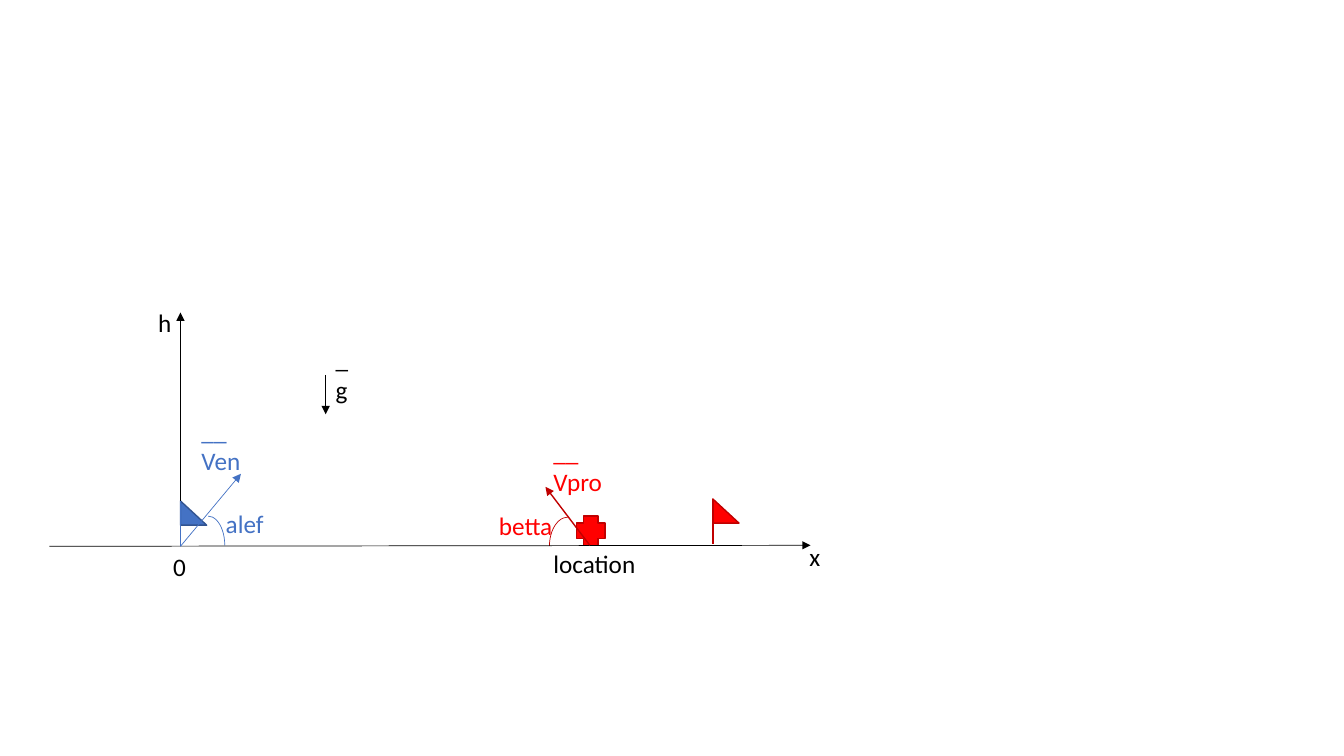
from pptx import Presentation
from pptx.util import Inches, Pt
from pptx.dml.color import RGBColor
from pptx.enum.shapes import MSO_SHAPE as Form, MSO_CONNECTOR as Link
from pptx.enum.text import MSO_AUTO_SIZE as Fit
from pptx.oxml.ns import qn
from lxml.etree import SubElement as add_node

BLACK = RGBColor(0x00, 0x00, 0x00)
BLUE = RGBColor(0x44, 0x72, 0xC4)
NAVY = RGBColor(0x32, 0x54, 0x91)
RED = RGBColor(0xFF, 0x00, 0x00)
DARK = RGBColor(0xC0, 0x00, 0x00)

deck = Presentation()
deck.slide_width, deck.slide_height = Inches(13.33), Inches(7.5)
slide = deck.slides.add_slide(deck.slide_layouts[6])

ground, start, target = 5.42, 1.79, 7.07

solids = [
    (Form.RIGHT_TRIANGLE, start, 4.97, 0.26, 0.24, BLUE, NAVY),
    (Form.CROSS, 5.72, 5.12, 0.28, 0.29, RED, DARK),
    (Form.RIGHT_TRIANGLE, target, 4.95, 0.26, 0.24, RED, DARK),
]
for form, x, y, w, h, fill, edge in solids:
    shape = slide.shapes.add_shape(form, *map(Inches, (x, y, w, h)))
    shape.shadow.inherit = False
    shape.fill.solid()
    shape.fill.fore_color.rgb = fill
    shape.line.color.rgb = edge
    shape.line.width = Pt(1)

angles = [
    (1.9, 5.12, 0.33, 0.58, BLUE, 162, 0),
    (5.45, 5.13, 0.37, 0.57, DARK, 108, 162),
]
for x, y, w, h, color, first, last in angles:
    arc = slide.shapes.add_shape(Form.ARC, *map(Inches, (x, y, w, h)))
    arc.shadow.inherit = False
    arc.adjustments[0] = first
    arc.adjustments[1] = last
    arc.fill.background()
    arc.line.color.rgb = color
    arc.line.width = Pt(0.5)

lines = [
    (0.49, ground, 8.04, 5.41, BLACK, 0.5, True),
    (start, ground, start, 3.1, BLACK, 0.5, True),
    (start, 4.97, start, ground, BLUE, 1, False),
    (start, ground, 2.39, 4.7, BLUE, 0.5, True),
    (5.85, 5.41, 5.41, 4.83, DARK, 1, True),
    (target, 4.95, target, 5.4, DARK, 1, False),
    (3.23, 3.72, 3.23, 4.11, BLACK, 0.5, True),
]
for x1, y1, x2, y2, color, width, arrow in lines:
    line = slide.shapes.add_connector(Link.STRAIGHT, *map(Inches, (x1, y1, x2, y2)))
    line.line.color.rgb = color
    line.line.width = Pt(width)
    if arrow:
        add_node(line.line._get_or_add_ln(), qn("a:tailEnd"), type="triangle")
    add_node(line._element.spPr, qn("a:effectLst"))

labels = [
    ("0", 1.62, 5.42, 0.33, BLACK),
    ("_\ng", 3.23, 3.36, 0.33, BLACK),
    ("alef", 2.14, 4.99, 0.58, BLUE),
    ("__\nVen", 1.9, 4.07, 0.59, BLUE),
    ("__\nVpro", 5.39, 4.28, 0.69, RED),
    ("betta", 4.85, 5.01, 0.74, RED),
    ("location", 5.39, 5.39, 1.02, BLACK),
    ("h", 1.47, 3, 0.34, BLACK),
    ("x", 7.93, 5.32, 0.31, BLACK),
]
for text, x, y, w, color in labels:
    h = 0.71 if "\n" in text else 0.4
    frame = slide.shapes.add_textbox(*map(Inches, (x, y, w, h))).text_frame
    frame.text = text
    frame.word_wrap = False
    frame.auto_size = Fit.SHAPE_TO_FIT_TEXT
    for para in frame.paragraphs:
        for key, value in {"name": "Calibri", "size": Pt(18)}.items():
            setattr(para.runs[0].font, key, value)
        para.runs[0].font.color.rgb = color

deck.save("out.pptx")
